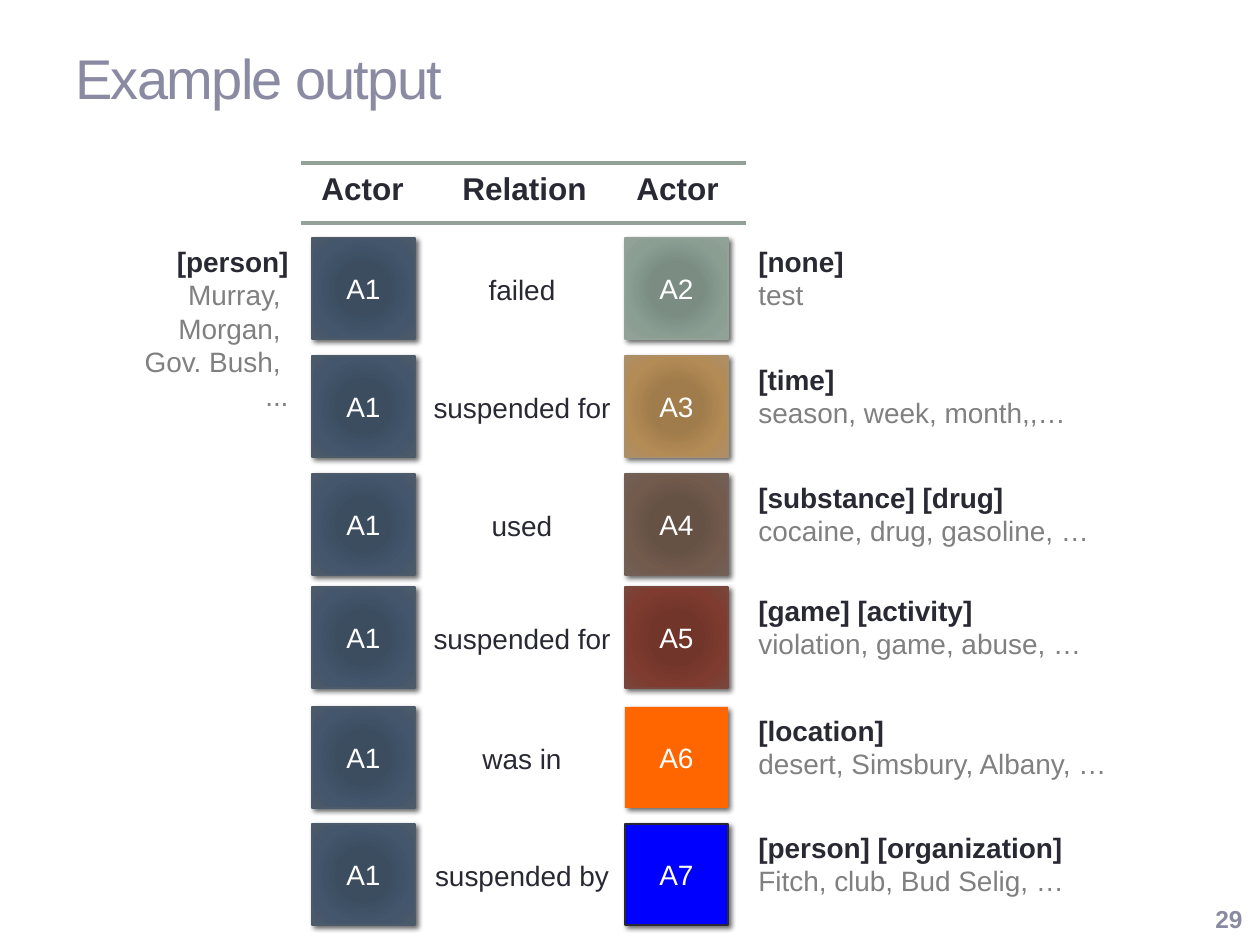
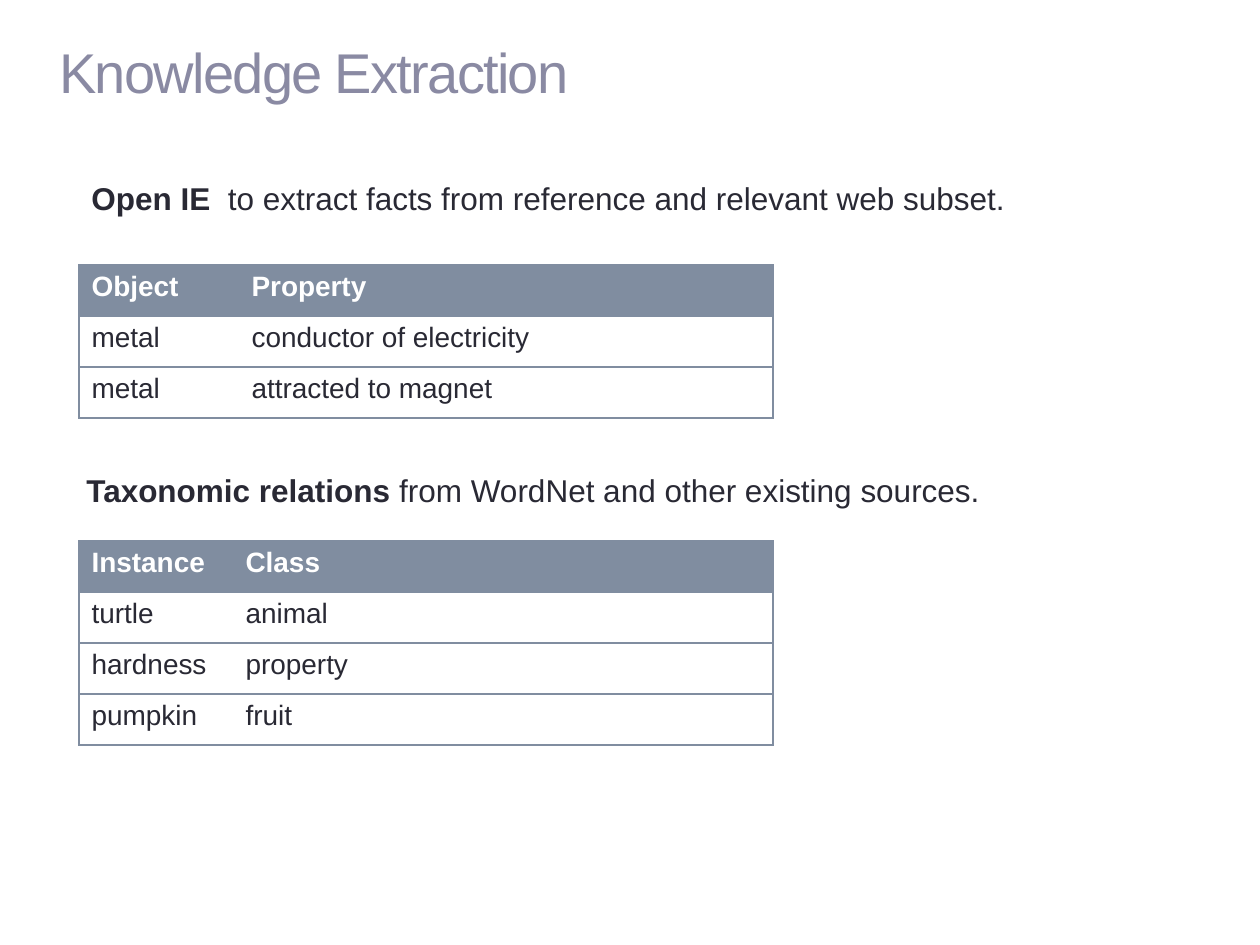
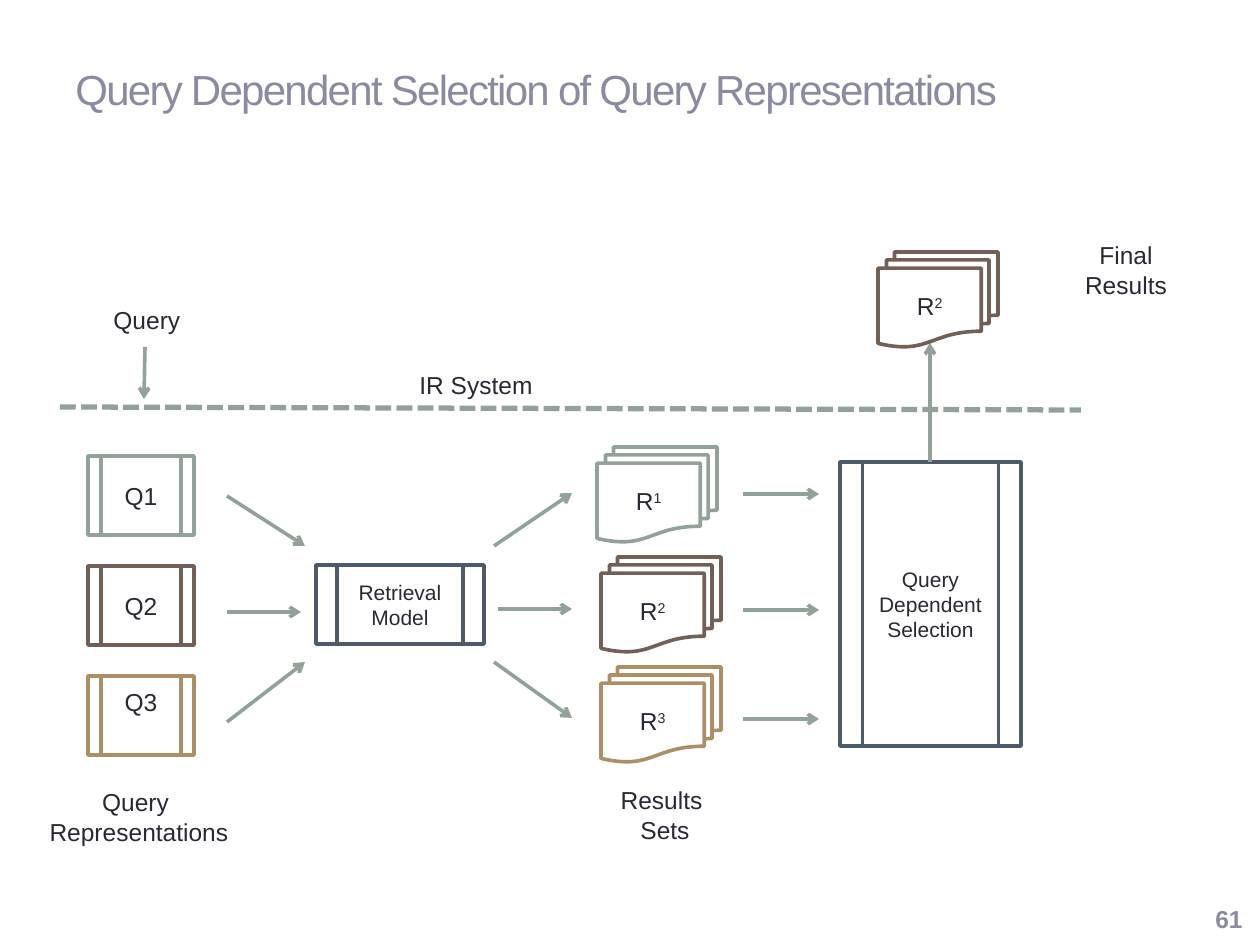
from lxml import etree
from pptx import Presentation
from pptx import util as u
from pptx.dml.color import RGBColor
from pptx.enum import dml, shapes, text
from pptx.oxml.ns import qn

SCALE = 914400 / 126  # EMU in one px
FONT = "Arial"
HUES = {
    "ink": "292934", "title": "8A8AA3", "grey": "808080", "white": "FFFFFF",
    "navy": "4C5A6A", "sage": "93A299", "sand": "AD8F67", "clay": "726056",
    "rust": "79463D", "orange": "FF6600", "blue": "0000FF", "slate": "808DA0",
}
GLOWS = {  # inner stops; the outermost stop is the hue itself
    "navy": ["3B4D61", "3C4D60", "43566B"],
    "sage": ["7B8E82", "7B8D83", "8A9E92"],
    "sand": ["A37D49", "A07C4C", "B38B55"],
    "clay": ["685044", "665145", "725A4D"],
    "rust": ["743327", "72352A", "7F3B2F"],
}
ALIGN = {"l": text.PP_ALIGN.LEFT, "c": text.PP_ALIGN.CENTER, "r": text.PP_ALIGN.RIGHT}
ANCHOR = {"t": text.MSO_ANCHOR.TOP, "m": text.MSO_ANCHOR.MIDDLE}
KIND = shapes.MSO_SHAPE


def px(n):
    return u.Emu(round(n * SCALE))


def rgb(hue):
    return RGBColor.from_string(HUES[hue])


def sub(node, tag, **attrs):
    return etree.SubElement(node, qn(tag), {k: str(v) for k, v in attrs.items()})


def write(frame, paras, size=16, hue="ink", bold=False, align="l", anchor="t",
          wrap=True, low=6, track=0):
    """Fill a frame; a paragraph is a string or a list of (string, overrides)."""
    frame.word_wrap = wrap
    frame.vertical_anchor = ANCHOR[anchor]
    frame.margin_bottom = px(low)
    for i, para in enumerate([paras] if isinstance(paras, str) else paras):
        line = frame.add_paragraph() if i else frame.paragraphs[0]
        line.alignment = ALIGN[align]
        for words, extra in [(para, {})] if isinstance(para, str) else para:
            run = line.add_run()
            run.text = words
            font = run.font
            font.name, font.size = FONT, u.Pt(size)
            font.bold = extra.get("bold", bold)
            font.color.rgb = rgb(extra.get("hue", hue))
            props = run._r.get_or_add_rPr()
            if track:
                props.set("spc", str(track))
            if "raised" in extra:
                props.set("baseline", str(extra["raised"]))


class Deck:
    def __init__(self):
        self.show = Presentation()
        self.show.slide_width, self.show.slide_height = px(1260), px(945)
        self.slide = None

    def page(self, title, at, size=32, num=None):
        self.slide = self.show.slides.add_slide(self.show.slide_layouts[6])
        self.note(at, title, size=size, hue="title", anchor="m", track=-100)
        if num:
            self.note((1181, 896, 74, 45), num, size=14, hue="title", bold=True,
                      align="r", anchor="m")

    def note(self, at, words, **fmt):
        box = self.slide.shapes.add_textbox(*map(px, at))
        write(box.text_frame, words, **fmt)

    def box(self, at, words, kind=KIND.RECTANGLE, fill="white", line=None,
            width=2.08, **fmt):
        box = self.slide.shapes.add_shape(kind, *map(px, at))
        box.shadow.inherit = False
        box.fill.solid()
        box.fill.fore_color.rgb = rgb(fill)
        if line:
            box.line.color.rgb = rgb(line)
            box.line.width = u.Pt(width)
        else:
            box.line.fill.background()
        write(box.text_frame, words, **fmt)
        return box

    def tile(self, at, words, hue, line):
        """A raised square, with a radial glow where its hue has one."""
        box = self.box(at, words, fill=hue, line=line, width=0.75, hue="white",
                       align="c", anchor="m")
        props = box._element.spPr
        if hue in GLOWS:
            grad = etree.Element(qn("a:gradFill"), rotWithShape="1")
            stops = sub(grad, "a:gsLst")
            for pos, code in zip((0, 34, 70, 100), GLOWS[hue] + [HUES[hue]]):
                sub(sub(stops, "a:gs", pos=pos * 1000), "a:srgbClr", val=code)
            route = sub(grad, "a:path", path="circle")
            sub(route, "a:fillToRect", **dict.fromkeys("ltrb", 100000))
            props.replace(props.find(qn("a:solidFill")), grad)
        shade = sub(props.find(qn("a:effectLst")), "a:outerShdw", blurRad=38100,
                    dist=25400, dir=2700000, rotWithShape=0)
        sub(sub(shade, "a:srgbClr", val="000000"), "a:alpha", val=60000)

    def line(self, ends, width=2.08, dash=None, arrow=False):
        link = self.slide.shapes.add_connector(
            shapes.MSO_CONNECTOR.STRAIGHT, *map(px, ends))
        link.line.color.rgb = rgb("sage")
        link.line.width = u.Pt(width)
        if dash:
            link.line.dash_style = dash
        if arrow:
            sub(link.line._get_or_add_ln(), "a:tailEnd", type="arrow")
        sub(link._element.spPr, "a:effectLst")

    def table(self, left, top, cols, rows, high=51):
        grid = self.slide.shapes.add_table(
            len(rows), len(cols), px(left), px(top), px(sum(cols)),
            px(high * len(rows))).table
        grid.horz_banding = False
        for col, wide in zip(grid.columns, cols):
            col.width = px(wide)
        for r, row in enumerate(rows):
            for c, words in enumerate(row):
                cell = grid.cell(r, c)
                head = r == 0
                write(cell.text_frame, words, bold=head,
                      hue="white" if head else "ink")
                shown = {"L": c == 0, "R": c == len(cols) - 1, "T": True, "B": True}
                for side, drawn in shown.items():
                    edge = sub(cell._tc.get_or_add_tcPr(), "a:ln" + side, w=9525)
                    if drawn:
                        sub(sub(edge, "a:solidFill"), "a:srgbClr", val=HUES["slate"])
                    else:
                        sub(edge, "a:noFill")
                if head:
                    cell.fill.solid()
                    cell.fill.fore_color.rgb = rgb("slate")
                else:
                    cell.fill.background()


def output(deck):
    deck.page("Example output", (63, 9, 1134, 136), num="29")
    for y in (163, 223):
        deck.line((301, y, 746, y))
    for x, wide, head in ((309, 108, "Actor"), (450, 151, "Relation"),
                          (624, 108, "Actor")):
        deck.note((x, 163, wide, 50), head, size=18, bold=True, wrap=False)
    deck.note((97, 238, 204, 183), [
        [("[person]", {"bold": True, "hue": "ink"})],
        "Murray, ", "Morgan, ", "Gov. Bush, ", "..."], hue="grey", align="r")
    facts = [
        (238, "failed", "sage", "sage", "[none]", "test"),
        (356, "suspended for", "sand", "sand", "[time]", "season, week, month,,…"),
        (474, "used", "clay", "clay", "[substance] [drug]",
         "cocaine, drug, gasoline, …"),
        (587, "suspended for", "rust", "rust", "[game] [activity]",
         "violation, game, abuse, …"),
        (707, "was in", "orange", None, "[location]", "desert, Simsbury, Albany, …"),
        (824, "suspended by", "blue", "ink", "[person] [organization]",
         "Fitch, club, Bud Selig, …"),
    ]
    for i, (y, verb, hue, edge, types, names) in enumerate(facts, 2):
        deck.tile((312, y, 103, 101), "A1", "navy", "navy")
        deck.note((418, y + 28, 208, 38), verb, align="c")
        deck.tile((625, y, 103, 101), f"A{i}", hue, edge)
        deck.note((746, y, 437, 81), [[(types, {"bold": True})],
                                      [(names, {"hue": "grey"})]])


def facts(deck):
    deck.page("Knowledge Extraction", (47, 3, 1172, 136))
    deck.table(79, 265, (160, 534), [
        ("Object", "Property"), ("metal", "conductor of electricity"),
        ("metal", "attracted to magnet")])
    deck.table(79, 541, (154, 540), [
        ("Instance", "Class"), ("turtle", "animal"), ("hardness", "property"),
        ("pumpkin", "fruit")])
    for x, y, lead, rest in (
            (79, 173, "Open IE ",
             " to extract facts from reference and relevant web subset."),
            (74, 465, "Taxonomic relations",
             " from WordNet and other existing sources.")):
        deck.box((x, y, 1090, 50), [[(lead, {"bold": True}), (rest, {})]], size=18)


def query(deck):
    deck.page("Query Dependent Selection of Query Representations",
              (63, 10, 1134, 158), size=24, num="61")
    mid = {"align": "c", "anchor": "m"}

    def process(at, words, hue, **fmt):
        deck.box(at, words, KIND.FLOWCHART_PREDEFINED_PROCESS, line=hue, **mid, **fmt)

    def result(x, y, num, hue):
        deck.box((x, y, 120, 95), [[("R", {}), (num, {"raised": 30000})]],
                 KIND.FLOWCHART_MULTIDOCUMENT, line=hue, size=14, **mid)

    process((316, 565, 168, 79), ["Retrieval", "Model"], "navy", size=12)
    process((840, 462, 181, 284), ["Query", "Dependent", "Selection"], "navy", size=12)
    lanes = [("sage", 597, 6), ("clay", 601, 6), ("sand", 601, 34)]
    for i, (hue, x, low) in enumerate(lanes):
        num = str(i + 1)
        process((88, 456 + 110 * i, 106, 79), "Q" + num, hue, size=14, low=low)
        result(x, 447 + 110 * i, num, hue)
    deck.line((60, 407, 1081, 410), width=3, dash=dml.MSO_LINE.SQUARE_DOT)
    for ends in (
            (145, 347, 144, 399), (930, 462, 930, 343),
            (227, 496, 305, 546), (227, 612, 301, 612), (227, 722, 305, 662),
            (494, 546, 572, 493), (498, 609, 572, 609), (494, 662, 572, 718),
            (743, 494, 819, 494), (743, 610, 819, 610), (743, 719, 819, 719)):
        deck.line(ends, arrow=True)
    result(878, 252, "2", "clay")
    for at, words, align in (
            ((101, 299, 110, 43), "Query", "l"),
            ((407, 364, 253, 43), "IR System", "l"),
            ((0, 781, 278, 72), ["Query ", "Representations"], "c"),
            ((473, 779, 384, 72), ["Results ", "Sets"], "c"),
            ((992, 234, 268, 72), ["Final", "Results"], "c")):
        deck.note(at, words, size=14, align=align)


def main():
    deck = Deck()
    for build in (output, facts, query):
        build(deck)
    deck.show.save("out.pptx")


if __name__ == "__main__":
    main()
